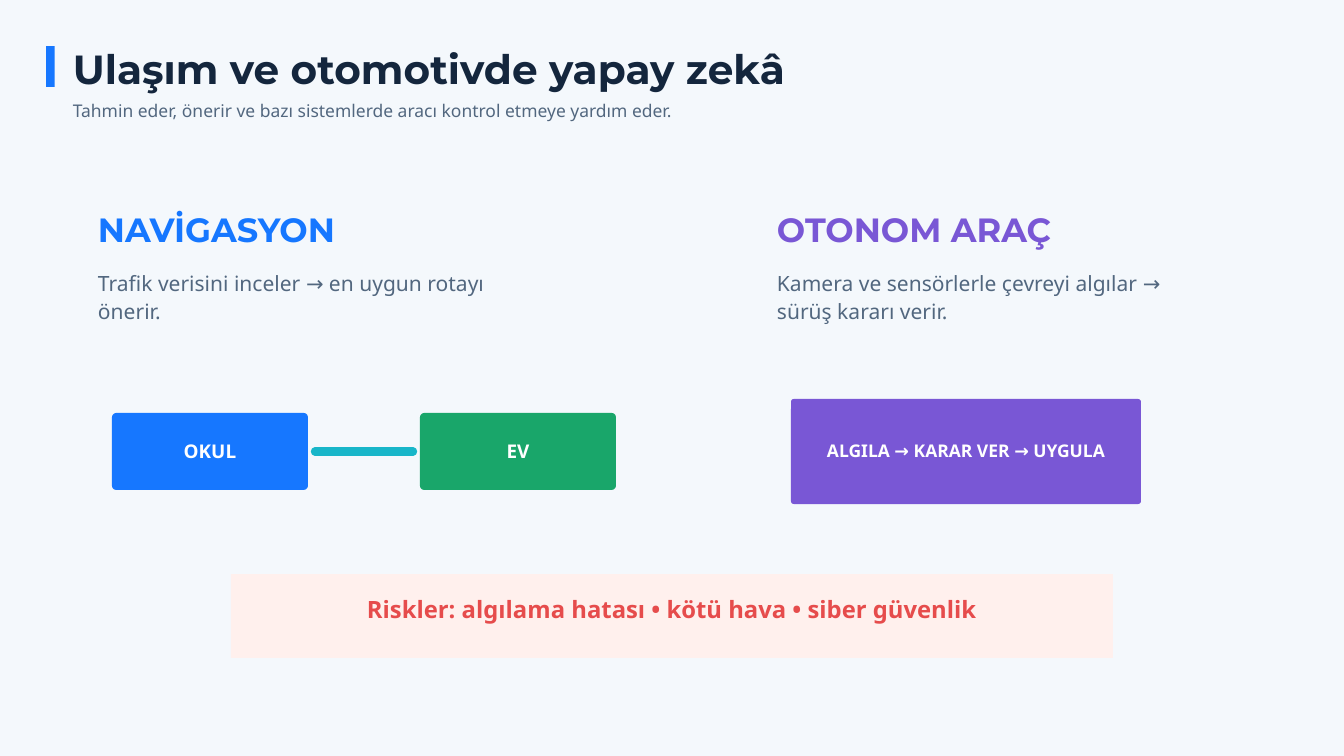
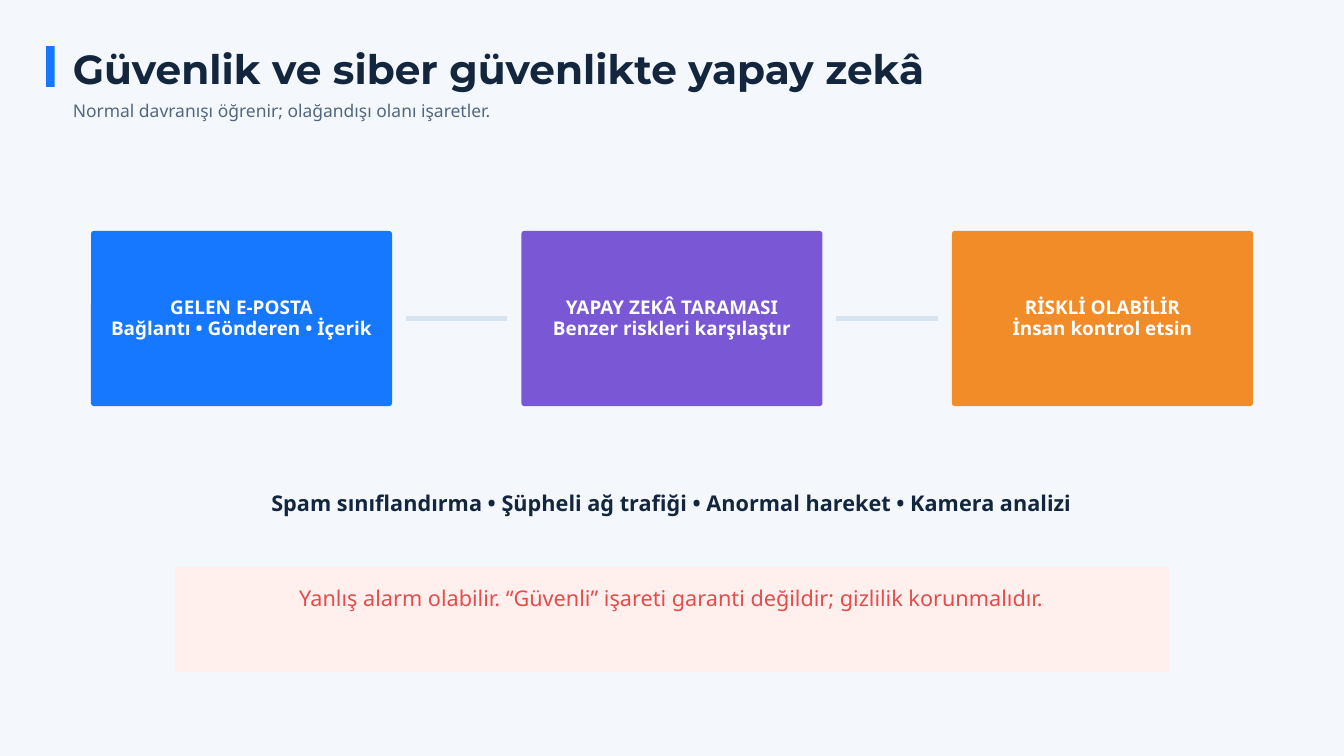
"""Build two Turkish slides on AI in transport and in security."""
from dataclasses import dataclass

from pptx import Presentation
from pptx.dml.color import RGBColor as RGB
from pptx.enum.shapes import MSO_CONNECTOR as Conn, MSO_SHAPE as Shp
from pptx.enum.text import MSO_ANCHOR as Anchor, MSO_AUTO_SIZE as Auto, PP_ALIGN as Align
from pptx.oxml.ns import qn
from pptx.shapes.autoshape import Shape
from pptx.slide import Slide
from pptx.text.text import TextFrame
from pptx.util import Emu

PX = 9525


@dataclass(frozen=True)
class Theme:
    page: str = "F4F8FC"
    ink: str = "14263D"
    muted: str = "52677F"
    blue: str = "1677FF"
    purple: str = "7957D5"
    green: str = "19A66A"
    orange: str = "F28C28"
    cyan: str = "18B6C9"
    rule: str = "D7E3EE"
    red: str = "E64C4C"
    blush: str = "FFF0ED"
    white: str = "FFFFFF"
    head_font: str = "Montserrat"
    body_font: str = "Noto Sans"
    title: int = 58
    heading: int = 48
    risk: int = 34
    note: int = 31
    body: int = 30
    label: int = 27
    small: int = 25
    tight: float = 1.05
    snug: float = 1.1
    medium: float = 1.15
    loose: float = 1.35


T = Theme()


@dataclass(frozen=True)
class Box:
    x: int
    y: int
    w: int
    h: int

    def emu(self) -> tuple[Emu, ...]:
        return tuple(px(v) for v in (self.x, self.y, self.w, self.h))


@dataclass(frozen=True)
class Card:
    box: Box
    text: str
    color: str
    size: int = T.label
    radius: int = 4


@dataclass(frozen=True)
class Topic:
    x: int
    w: int
    heading: str
    color: str
    body: str


def px(value: float) -> Emu:
    return Emu(round(value * PX))


def write(tf: TextFrame, text: str, *, size: int, color: str, font: str = T.body_font,
          bold: bool = False, align: Align = Align.LEFT, spacing: float = T.loose,
          inset: int = 0, anchor: Anchor = Anchor.TOP) -> None:
    tf.word_wrap = True
    tf.vertical_anchor = anchor
    tf.margin_left = tf.margin_top = tf.margin_right = tf.margin_bottom = px(inset)
    for i, line in enumerate(text.split("\n")):
        p = tf.add_paragraph() if i else tf.paragraphs[0]
        p.alignment = align
        p.line_spacing = px(size * spacing)
        r = p.add_run()
        r.text = line
        r.font.name, r.font.size, r.font.bold = font, px(size), bold
        r.font.color.rgb = RGB.from_string(color)


def add_text(s: Slide, box: Box, text: str, **fmt) -> None:
    tf = s.shapes.add_textbox(*box.emu()).text_frame
    write(tf, text, **fmt)
    tf.auto_size = Auto.SHAPE_TO_FIT_TEXT


def add_block(s: Slide, box: Box, color: str, radius: int = 0) -> Shape:
    kind = Shp.ROUNDED_RECTANGLE if radius else Shp.RECTANGLE
    sp = s.shapes.add_shape(kind, *box.emu())
    if radius:
        sp.adjustments[0] = radius / min(box.w, box.h)
    sp.fill.solid()
    sp.fill.fore_color.rgb = RGB.from_string(color)
    sp.line.fill.background()
    sp.shadow.inherit = False
    return sp


def add_card(s: Slide, card: Card) -> None:
    sp = add_block(s, card.box, card.color, card.radius)
    write(sp.text_frame, card.text, size=card.size, color=T.white, bold=True,
          align=Align.CENTER, spacing=T.snug, inset=6, anchor=Anchor.MIDDLE)


def add_link(s: Slide, left: Box, right: Box, *, gap: int, color: str, width: int,
             rounded: bool = False) -> None:
    y = px(left.y + left.h // 2)
    cx = s.shapes.add_connector(Conn.STRAIGHT, px(left.x + left.w + gap), y,
                                px(right.x - gap), y)
    cx.line.color.rgb = RGB.from_string(color)
    cx.line.width = px(width)
    if rounded:
        cx.line._get_or_add_ln().set("cap", "rnd")
    sp_pr = cx._element.spPr
    sp_pr.append(sp_pr.makeelement(qn("a:effectLst"), {}))


def add_banner(s: Slide, box: Box, text: str, *, top: int, **fmt) -> None:
    pad = 60
    add_block(s, box, T.blush)
    add_text(s, Box(box.x + pad, box.y + top, box.w - 2 * pad, 40), text,
             color=T.red, align=Align.CENTER, **fmt)


def new_slide(prs: Presentation, title: str, subtitle: str) -> Slide:
    s = prs.slides.add_slide(prs.slide_layouts[6])
    add_text(s, Box(104, 71, 1500, 61), title, size=T.title, color=T.ink,
             font=T.head_font, bold=True, spacing=T.tight)
    add_text(s, Box(104, 139, 1480, 33), subtitle, size=T.small, color=T.muted)
    add_block(s, Box(66, 66, 12, 58), T.blue)
    return s


def transport_slide(prs: Presentation) -> None:
    s = new_slide(prs, "Ulaşım ve otomotivde yapay zekâ",
                  "Tahmin eder, önerir ve bazı sistemlerde aracı kontrol etmeye yardım eder.")
    topics = (
        Topic(140, 600, "NAVİGASYON", T.blue,
              "Trafik verisini inceler → en uygun rotayı önerir."),
        Topic(1110, 620, "OTONOM ARAÇ", T.purple,
              "Kamera ve sensörlerle çevreyi algılar → sürüş kararı verir."),
    )
    for topic in topics:
        add_text(s, Box(topic.x, 306, topic.w, 51), topic.heading, size=T.heading,
                 color=topic.color, font=T.head_font, bold=True, spacing=T.tight)
        add_text(s, Box(topic.x, 382, topic.w, 79), topic.body, size=T.body, color=T.muted)
    school = Card(Box(160, 590, 280, 110), "OKUL", T.blue, radius=6)
    home = Card(Box(600, 590, 280, 110), "EV", T.green, radius=6)
    drive = Card(Box(1130, 570, 500, 150), "ALGILA → KARAR VER → UYGULA", T.purple, T.small)
    for card in (school, home, drive):
        add_card(s, card)
    add_link(s, school.box, home.box, gap=10, color=T.cyan, width=12, rounded=True)
    add_banner(s, Box(330, 820, 1260, 120),
               "Riskler: algılama hatası • kötü hava • siber güvenlik",
               top=31, size=T.risk, bold=True, spacing=T.medium)


def security_slide(prs: Presentation) -> None:
    s = new_slide(prs, "Güvenlik ve siber güvenlikte yapay zekâ",
                  "Normal davranışı öğrenir; olağandışı olanı işaretler.")
    steps = (
        ("GELEN E-POSTA\nBağlantı • Gönderen • İçerik", T.blue),
        ("YAPAY ZEKÂ TARAMASI\nBenzer riskleri karşılaştır", T.purple),
        ("RİSKLİ OLABİLİR\nİnsan kontrol etsin", T.orange),
    )
    cards = [Card(Box(130 + i * 615, 330, 430, 250), text, color)
             for i, (text, color) in enumerate(steps)]
    for card in cards:
        add_card(s, card)
    for left, right in zip(cards, cards[1:]):
        add_link(s, left.box, right.box, gap=20, color=T.rule, width=7)
    add_text(s, Box(220, 701, 1480, 36),
             "Spam sınıflandırma • Şüpheli ağ trafiği • Anormal hareket • Kamera analizi",
             size=T.note, color=T.ink, bold=True, align=Align.CENTER, spacing=T.medium)
    add_banner(s, Box(250, 810, 1420, 150),
               "Yanlış alarm olabilir. “Güvenli” işareti garanti değildir; "
               "gizlilik korunmalıdır.", top=21, size=T.note)


def main() -> None:
    prs = Presentation()
    prs.slide_width, prs.slide_height = px(1920), px(1080)
    fill = prs.slide_master.background.fill
    fill.solid()
    fill.fore_color.rgb = RGB.from_string(T.page)
    transport_slide(prs)
    security_slide(prs)
    prs.save("out.pptx")


if __name__ == "__main__":
    main()
